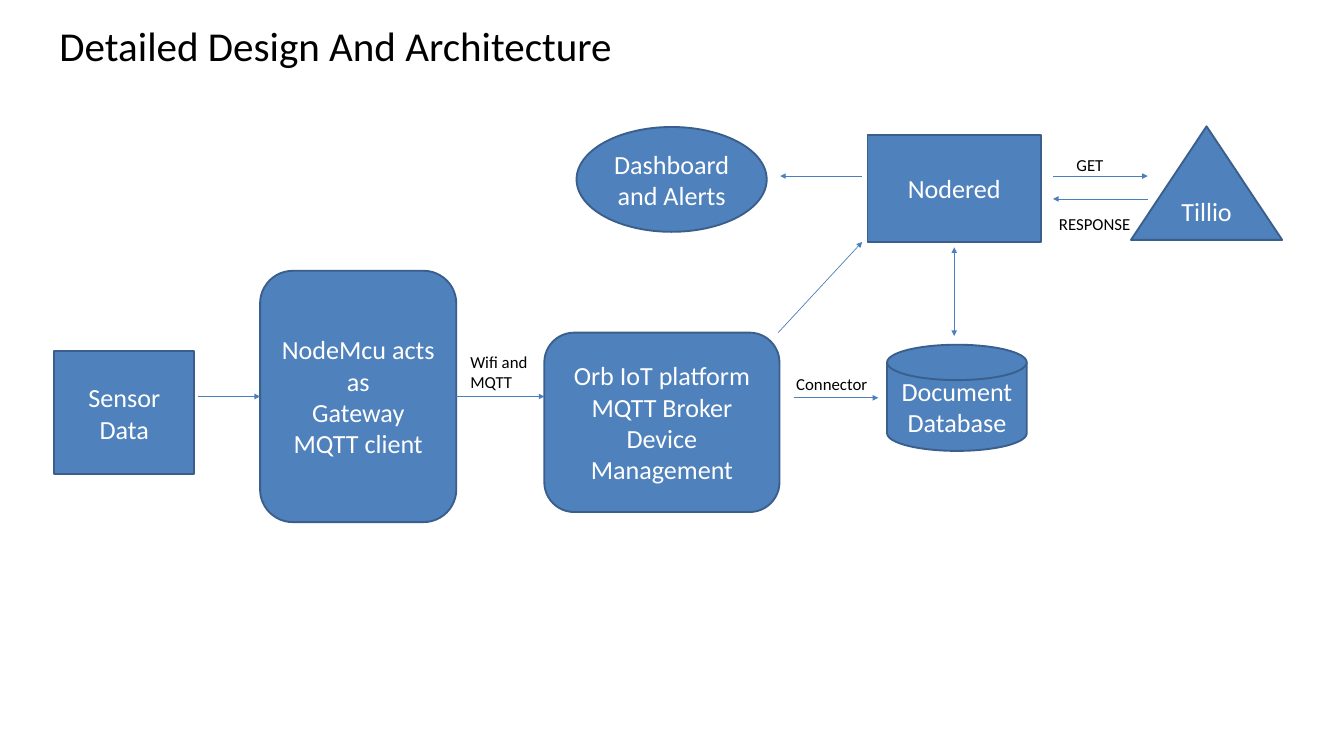
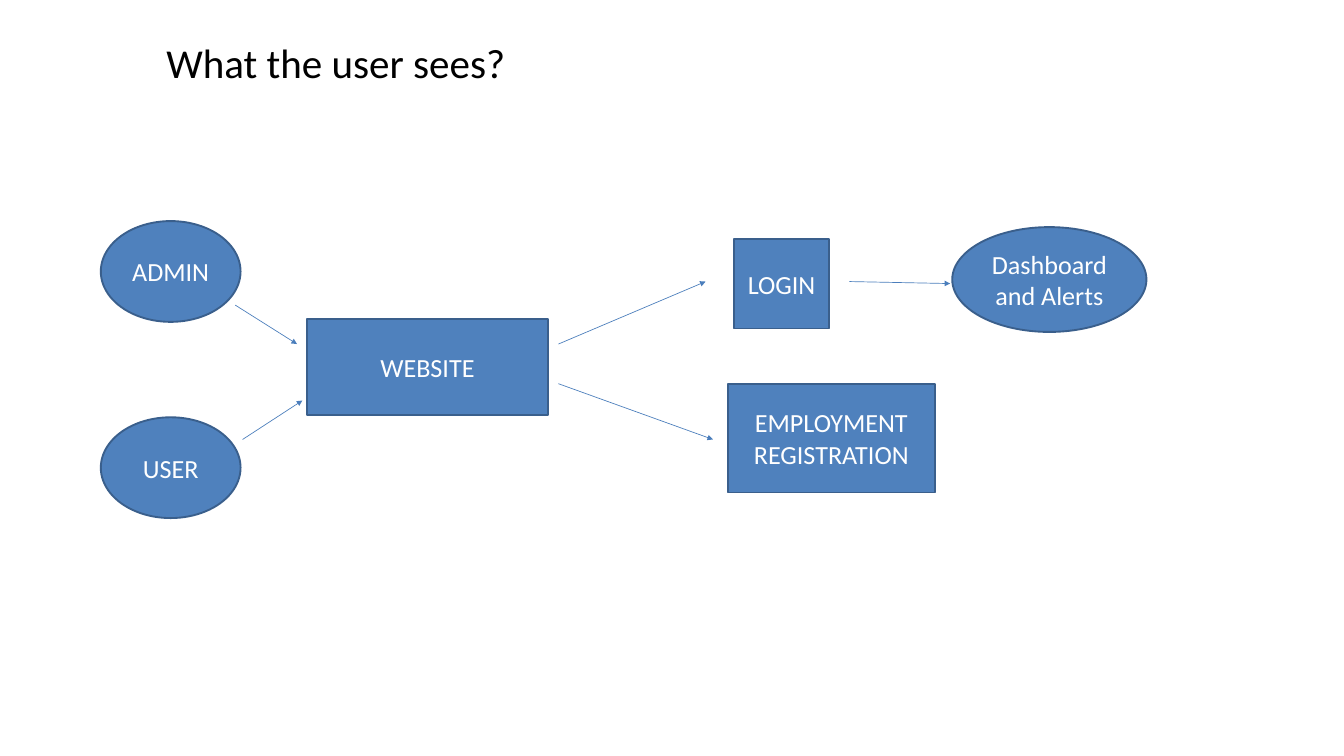
from dataclasses import dataclass

from lxml.etree import SubElement
from pptx import Presentation
from pptx.dml.color import RGBColor
from pptx.enum.shapes import MSO_CONNECTOR, MSO_SHAPE
from pptx.enum.text import MSO_ANCHOR, PP_ALIGN
from pptx.oxml.ns import qn
from pptx.util import Inches, Pt


@dataclass(frozen=True)
class Theme:
    font: str = "Calibri"
    black: RGBColor = RGBColor(0x00, 0x00, 0x00)
    white: RGBColor = RGBColor(0xFF, 0xFF, 0xFF)
    fill: RGBColor = RGBColor(0x4F, 0x81, 0xBD)
    outline: RGBColor = RGBColor(0x3A, 0x5F, 0x8C)
    arrow: RGBColor = RGBColor(0x4B, 0x7E, 0xBC)
    title_size: int = 44
    node_size: int = 28
    label_size: int = 18
    outline_width: float = 2
    arrow_width: float = 0.75


THEME = Theme()
TITLE_ONLY = 5
LEFT, RIGHT = 1, 3  # connection sites of a rectangle

RECT = MSO_SHAPE.RECTANGLE
ROUND = MSO_SHAPE.ROUNDED_RECTANGLE
OVAL = MSO_SHAPE.OVAL
DISK = MSO_SHAPE.FLOWCHART_MAGNETIC_DISK
TRIANGLE = MSO_SHAPE.ISOSCELES_TRIANGLE

# Content: nodes are name: (shape, lines, left, top, width, height);
# arrows are (start, end, heads), each end a point or a (node name, site) pair;
# labels are (text, left, top, width, height).
SLIDES = [
    {
        "title": "Detailed Design And Architecture",
        "title_top": 0.05,
        "nodes": {
            "sensor": (RECT, ["Sensor Data"], 0.81, 5.23, 2.08, 1.83),
            "gateway": (ROUND, ["NodeMcu acts as", "Gateway", "MQTT client"],
                        3.87, 4.03, 2.92, 3.74),
            "database": (DISK, ["Document Database"], 13.2, 5.13, 2.08, 1.58),
            "platform": (ROUND, ["Orb IoT platform", "MQTT Broker", "Device Management"],
                         8.1, 4.95, 3.5, 2.67),
            "nodered": (RECT, ["Nodered"], 12.91, 2.01, 2.58, 1.59),
            "messaging": (TRIANGLE, ["Tillio"], 16.83, 1.88, 2.25, 1.69),
            "dashboard": (OVAL, ["Dashboard and Alerts"], 8.58, 1.89, 2.83, 1.56),
        },
        "arrows": [
            ((2.95, 5.9), ("gateway", LEFT), ["tail"]),
            (("gateway", RIGHT), (8.1, 5.9), ["tail"]),
            ((11.82, 5.92), (13.07, 5.92), ["tail"]),
            ((12.83, 2.62), (11.61, 2.62), ["tail"]),
            ((11.58, 4.95), (12.83, 3.6), ["tail"]),
            ((15.67, 2.62), (17.08, 2.62), ["tail"]),
            ((17.08, 2.96), (15.67, 2.96), ["tail"]),
            ((14.2, 3.68), (14.2, 5), ["head", "tail"]),
        ],
        "labels": [
            ("Wifi and MQTT", 6.9, 5.18, 1.5, 0.71),
            ("Connector", 11.75, 5.51, 1.66, 0.4),
            ("GET", 15.92, 2.26, 0.91, 0.4),
            ("RESPONSE", 15.66, 3.13, 1.42, 0.4),
        ],
    },
    {
        "title": "What the user sees?",
        "title_top": 0.3,
        "nodes": {
            "admin": (OVAL, ["ADMIN"], 1.5, 3.29, 2.08, 1.5),
            "user": (OVAL, ["USER"], 1.5, 6.21, 2.08, 1.5),
            "website": (RECT, ["WEBSITE"], 4.57, 4.75, 3.58, 1.42),
            "login": (RECT, ["LOGIN"], 10.92, 3.56, 1.42, 1.33),
            "registration": (RECT, ["EMPLOYMENT REGISTRATION"], 10.83, 5.71, 3.08, 1.62),
            "dashboard": (OVAL, ["Dashboard and Alerts"], 14.17, 3.38, 2.89, 1.56),
        },
        "arrows": [
            ((12.64, 4.19), (14.14, 4.22), ["tail"]),
            ((3.5, 4.54), (4.42, 5.12), ["tail"]),
            ((3.61, 6.54), (4.5, 5.96), ["tail"]),
            ((8.31, 5.12), (10.5, 4.19), ["tail"]),
            ((8.31, 5.71), (10.61, 6.54), ["tail"]),
        ],
        "labels": [],
    },
]


def place(shape, *bounds):
    shape.left, shape.top, shape.width, shape.height = map(Inches, bounds)


def write(frame, lines, size, color, align):
    frame.word_wrap = True
    for index, line in enumerate(lines):
        para = frame.add_paragraph() if index else frame.paragraphs[0]
        para.text = line
        para.alignment = align
        para.font.name = THEME.font
        para.font.size = Pt(size)
        para.font.color.rgb = color


def add_title(page, text, top):
    title = page.shapes.title
    place(title, 0.5, top, 9, 1.25)
    title.text_frame.vertical_anchor = MSO_ANCHOR.MIDDLE
    write(title.text_frame, [text], THEME.title_size, THEME.black, PP_ALIGN.CENTER)


def add_node(page, kind, lines, *bounds):
    node = page.shapes.add_shape(kind, *map(Inches, bounds))
    node.shadow.inherit = False
    node.fill.solid()
    node.fill.fore_color.rgb = THEME.fill
    node.line.color.rgb = THEME.outline
    node.line.width = Pt(THEME.outline_width)
    node.text_frame.vertical_anchor = MSO_ANCHOR.MIDDLE
    write(node.text_frame, lines, THEME.node_size, THEME.white, PP_ALIGN.CENTER)
    return node


def add_arrow(page, nodes, start, end, heads):
    joins = [point if point[0] in nodes else None for point in (start, end)]
    points = [(0, 0) if join else point for join, point in zip(joins, (start, end))]
    arrow = page.shapes.add_connector(
        MSO_CONNECTOR.STRAIGHT, *(Inches(value) for point in points for value in point))
    for join, connect in zip(joins, (arrow.begin_connect, arrow.end_connect)):
        if join:
            name, site = join
            connect(nodes[name], site)
    arrow.line.color.rgb = THEME.arrow
    arrow.line.width = Pt(THEME.arrow_width)
    outline = arrow.line._get_or_add_ln()
    for head in heads:
        SubElement(outline, qn(f"a:{head}End"), type="triangle")
    SubElement(arrow._element.spPr, qn("a:effectLst"))


def add_label(page, text, *bounds):
    box = page.shapes.add_textbox(*map(Inches, bounds))
    write(box.text_frame, [text], THEME.label_size, THEME.black, PP_ALIGN.LEFT)


def main():
    deck = Presentation()
    deck.slide_width, deck.slide_height = Inches(20), Inches(11.25)
    for content in SLIDES:
        page = deck.slides.add_slide(deck.slide_layouts[TITLE_ONLY])
        add_title(page, content["title"], content["title_top"])
        nodes = {name: add_node(page, *node) for name, node in content["nodes"].items()}
        for arrow in content["arrows"]:
            add_arrow(page, nodes, *arrow)
        for label in content["labels"]:
            add_label(page, *label)
    deck.save("out.pptx")


if __name__ == "__main__":
    main()
